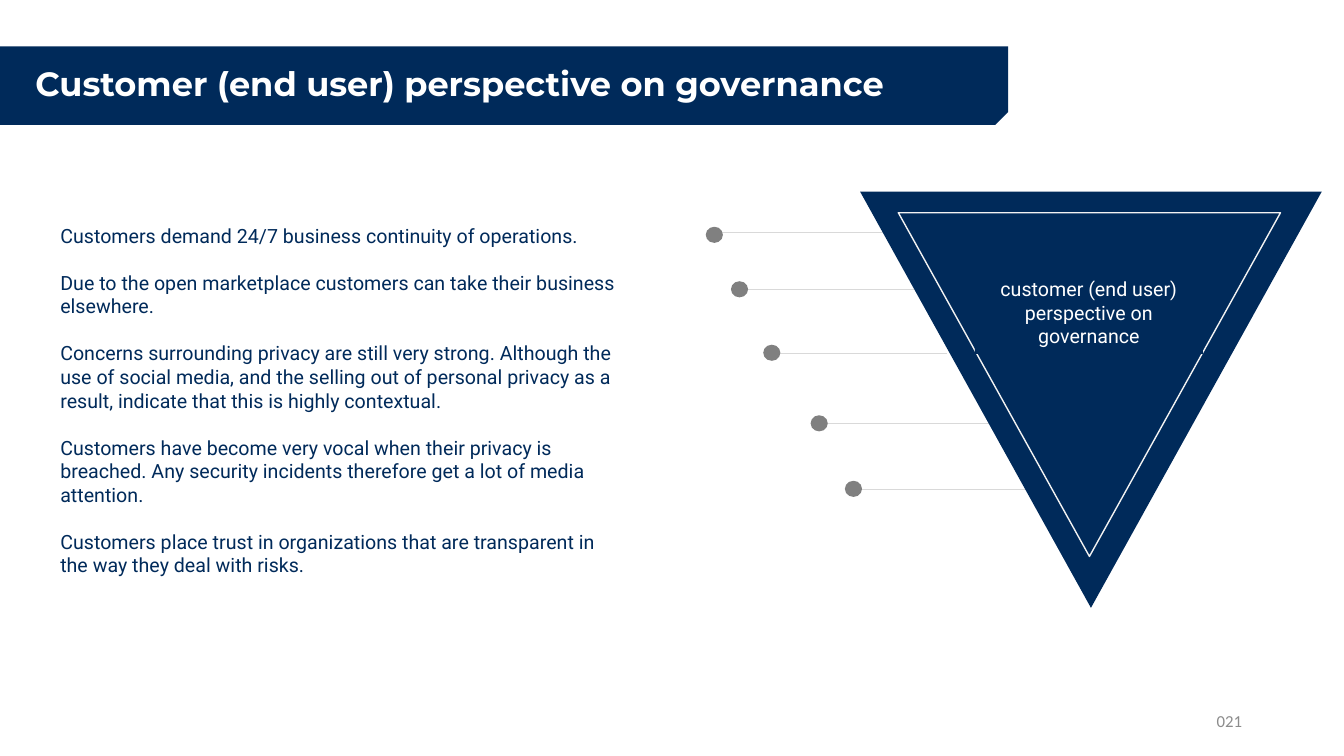
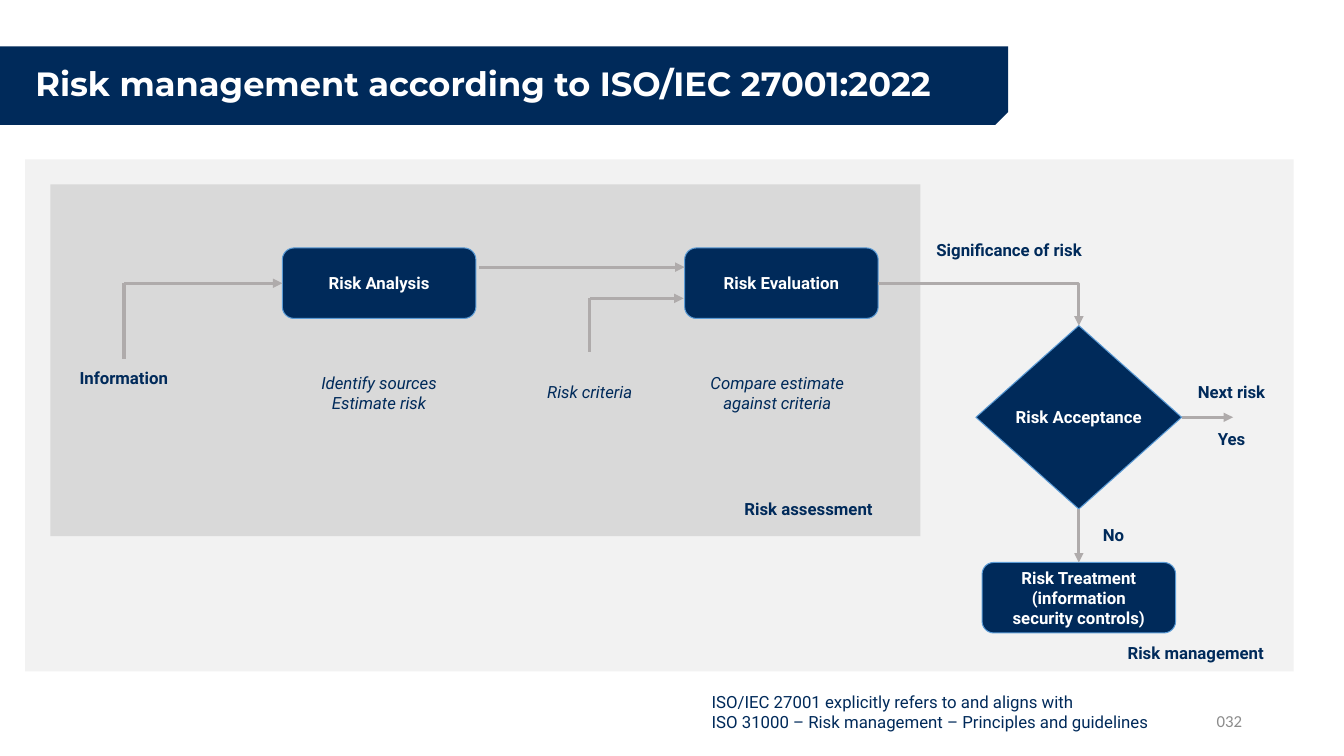
from lxml import etree
from pptx import Presentation
from pptx.dml.color import RGBColor
from pptx.enum.shapes import MSO_CONNECTOR as Connector, MSO_SHAPE as Preset
from pptx.enum.text import MSO_ANCHOR as Anchor, MSO_AUTO_SIZE as AutoSize, PP_ALIGN as Align
from pptx.oxml.ns import qn
from pptx.util import Emu, Pt

PX = 9144
COLORS = {
    "navy": "002A5A", "white": "FFFFFF", "panel": "F2F2F2", "inner panel": "D9D9D9",
    "dot": "808080", "outline": "5B9BD5", "arrow": "AFABAB", "number": "8C8C8C",
}
STYLES = {
    "title": ("white", {"name": "Montserrat", "size": Pt(24), "bold": True}),
    "body": ("navy", {"name": "Roboto", "size": Pt(14)}),
    "triangle": ("white", {"name": "Roboto", "size": Pt(14)}),
    "step": ("white", {"name": "Roboto", "size": Pt(12), "bold": True}),
    "label": ("navy", {"name": "Roboto", "size": Pt(12), "bold": True}),
    "remark": ("navy", {"name": "Roboto", "size": Pt(12), "italic": True}),
    "note": ("navy", {"name": "Roboto", "size": Pt(12)}),
    "number": ("number", {"name": "Calibri", "size": Pt(12)}),
}


def px(*lengths):
    """Turn px lengths into EMU."""
    return [Emu(length * PX) for length in lengths]


def color(name):
    """Look up a named colour."""
    return RGBColor.from_string(COLORS[name])


class Deck:
    """Hold the presentation, its style and the current slide."""

    def __init__(self):
        """Start an empty widescreen presentation."""
        self.presentation = Presentation()
        self.presentation.slide_width, self.presentation.slide_height = px(1333, 750)
        self.slide = None

    def add_slide(self, title, number):
        """Start a slide with its title band and page number."""
        self.slide = self.presentation.slides.add_slide(self.presentation.slide_layouts[5])
        placeholder = self.slide.shapes.title
        placeholder.left, placeholder.top, placeholder.width, placeholder.height = px(25, 46, 950, 78)
        self.set_text(placeholder, title, "title", Align.LEFT, Anchor.MIDDLE, line_spacing=0.9)
        band = self.shape(Preset.SNIP_ROUND_RECTANGLE, (0, 46, 1000, 78), "navy")
        band.adjustments[0] = 0
        band._element.spPr.find(qn("a:xfrm")).set("flipV", "1")
        placeholder._element.addprevious(band._element)
        self.text((942, 695, 300, 40), number, "number", Align.RIGHT, Anchor.MIDDLE)

    def set_text(self, shape, text, style, align=Align.LEFT, anchor=Anchor.TOP,
                 wrap=True, gap=0, **spacing):
        """Fill a shape with one styled paragraph per line of text."""
        frame = shape.text_frame
        for name, value in {"text": text, "word_wrap": wrap, "vertical_anchor": anchor,
                            "auto_size": AutoSize.NONE}.items():
            setattr(frame, name, value)
        font_color, font_format = STYLES[style]
        for index, paragraph in enumerate(frame.paragraphs):
            space = Pt(gap if index else 0)
            for name, value in {"alignment": align, "space_before": space, **spacing}.items():
                setattr(paragraph, name, value)
            for run in paragraph.runs:
                for name, value in font_format.items():
                    setattr(run.font, name, value)
                run.font.color.rgb = color(font_color)

    def text(self, box, text, style, *args, **options):
        """Add a text box."""
        self.set_text(self.slide.shapes.add_textbox(*px(*box)), text, style, *args, **options)

    def shape(self, preset, box, fill, line=None, weight=0.75):
        """Add a filled preset shape, outlined on demand."""
        shape = self.slide.shapes.add_shape(preset, *px(*box))
        shape.shadow.inherit = False
        shape.fill.solid()
        shape.fill.fore_color.rgb = color(fill)
        if line:
            shape.line.color.rgb = color(line)
            shape.line.width = Pt(weight)
        else:
            shape.line.fill.background()
        return shape

    def triangle(self, box, line=None):
        """Add a navy triangle that points down."""
        self.shape(Preset.ISOSCELES_TRIANGLE, box, "navy", line, 1).rotation = 180

    def step(self, preset, box, text):
        """Add a process step with centred text."""
        step = self.shape(preset, box, "navy", "outline")
        self.set_text(step, text, "step", Align.CENTER, Anchor.MIDDLE, wrap=False)
        return step

    def label(self, left, top, width, text, style="label", align=Align.CENTER):
        """Add an unwrapped label as high as its lines."""
        height = 10 + 20 * len(text.splitlines())
        self.text((left, top, width, height), text, style, align, wrap=False)

    def line(self, start, end, stroke="arrow", weight=2.25, head=True,
             begin=None, finish=None, kind=Connector.STRAIGHT):
        """Add a connector, joined to (shape, site) pairs where given."""
        connector = self.slide.shapes.add_connector(kind, *px(*start, *end))
        if begin:
            connector.begin_connect(*begin)
        if finish:
            connector.end_connect(*finish)
        connector.line.color.rgb = color(stroke)
        connector.line.width = Pt(weight)
        properties = connector._element.spPr
        if head:
            etree.SubElement(properties.find(qn("a:ln")), qn("a:tailEnd"), type="triangle")
        if kind == Connector.ELBOW:
            properties.find(qn("a:prstGeom")).set("prst", "bentConnector2")
        etree.SubElement(properties, qn("a:effectLst"))


def add_customer_slide(deck):
    """Build the customer perspective slide."""
    deck.add_slide("Customer (end user) perspective on governance", "021")
    statements = [
        "Customers demand 24/7 business continuity of operations.",
        "Due to the open marketplace customers can take their business elsewhere.",
        "Concerns surrounding privacy are still very strong. Although the use of social media, "
        "and the selling out of personal privacy as a result, indicate that this is highly contextual.",
        "Customers have become very vocal when their privacy is breached. "
        "Any security incidents therefore get a lot of media attention.",
        "Customers place trust in organizations that are transparent in the way they deal with risks.",
    ]
    deck.text((50, 217, 576, 387), "\n".join(statements), "body", gap=16.8)
    for left, top, level in [(700, 225, 231), (725, 279, 287), (757, 342, 351),
                             (804, 412, 420), (838, 477, 485)]:
        deck.line((left + 182, level), (left + 15, level), "inner panel", 0.5, head=False)
        deck.shape(Preset.OVAL, (left, top, 17, 16), "dot")
    deck.triangle((853, 190, 458, 413))
    deck.triangle((891, 211, 379, 341), "panel")
    caption = deck.shape(Preset.RECTANGLE, (967, 270, 226, 81), "navy")
    deck.set_text(caption, "customer (end user) perspective on governance", "triangle", Align.CENTER)


def add_risk_slide(deck):
    """Build the risk management flow slide."""
    deck.add_slide("Risk management according to ISO/IEC 27001:2022", "032")
    deck.shape(Preset.RECTANGLE, (25, 158, 1258, 508), "panel")
    deck.shape(Preset.RECTANGLE, (50, 183, 863, 349), "inner panel")
    deck.label(696, 681, 470, "ISO/IEC 27001 explicitly refers to and aligns with\n"
               "ISO 31000 – Risk management – Principles and guidelines", "note", Align.LEFT)

    analysis, evaluation, treatment = [
        deck.step(Preset.ROUNDED_RECTANGLE, (left, top, 192, 70), text)
        for left, top, text in [
            (280, 246, "Risk Analysis"),
            (679, 246, "Risk Evaluation"),
            (974, 558, "Risk Treatment\n(information\nsecurity controls)"),
        ]
    ]
    acceptance = deck.step(Preset.FLOWCHART_DECISION, (968, 323, 204, 182), "Risk Acceptance")

    deck.line((123, 281), (123, 356), head=False)
    deck.line((123, 281), (280, 281), finish=(analysis, 1))
    deck.line((585, 296), (585, 349), head=False)
    deck.line((585, 296), (678, 296))
    deck.line((475, 265), (679, 265))
    deck.line((871, 281), (1070, 323), begin=(evaluation, 3), finish=(acceptance, 0),
              kind=Connector.ELBOW)
    deck.line((1070, 505), (1070, 558), begin=(acceptance, 2), finish=(treatment, 0))
    deck.line((1172, 414), (1223, 414), begin=(acceptance, 3))

    deck.label(69, 360, 109, "Information", align=Align.LEFT)
    for left, top, width, text in [
        (918, 233, 166, "Significance of risk"),
        (1176, 374, 91, "Next risk"),
        (1197, 420, 49, "Yes"),
        (1083, 516, 43, "No"),
        (728, 490, 148, "Risk assessment"),
        (1108, 633, 156, "Risk management"),
    ]:
        deck.label(left, top, width, text)
    for left, top, width, text in [
        (307, 365, 138, "Identify sources\nEstimate risk"),
        (532, 374, 106, "Risk criteria"),
        (690, 365, 162, "Compare estimate\nagainst criteria"),
    ]:
        deck.label(left, top, width, text, "remark")


def main():
    """Build and save the presentation."""
    deck = Deck()
    add_customer_slide(deck)
    add_risk_slide(deck)
    deck.presentation.save("out.pptx")


if __name__ == "__main__":
    main()
